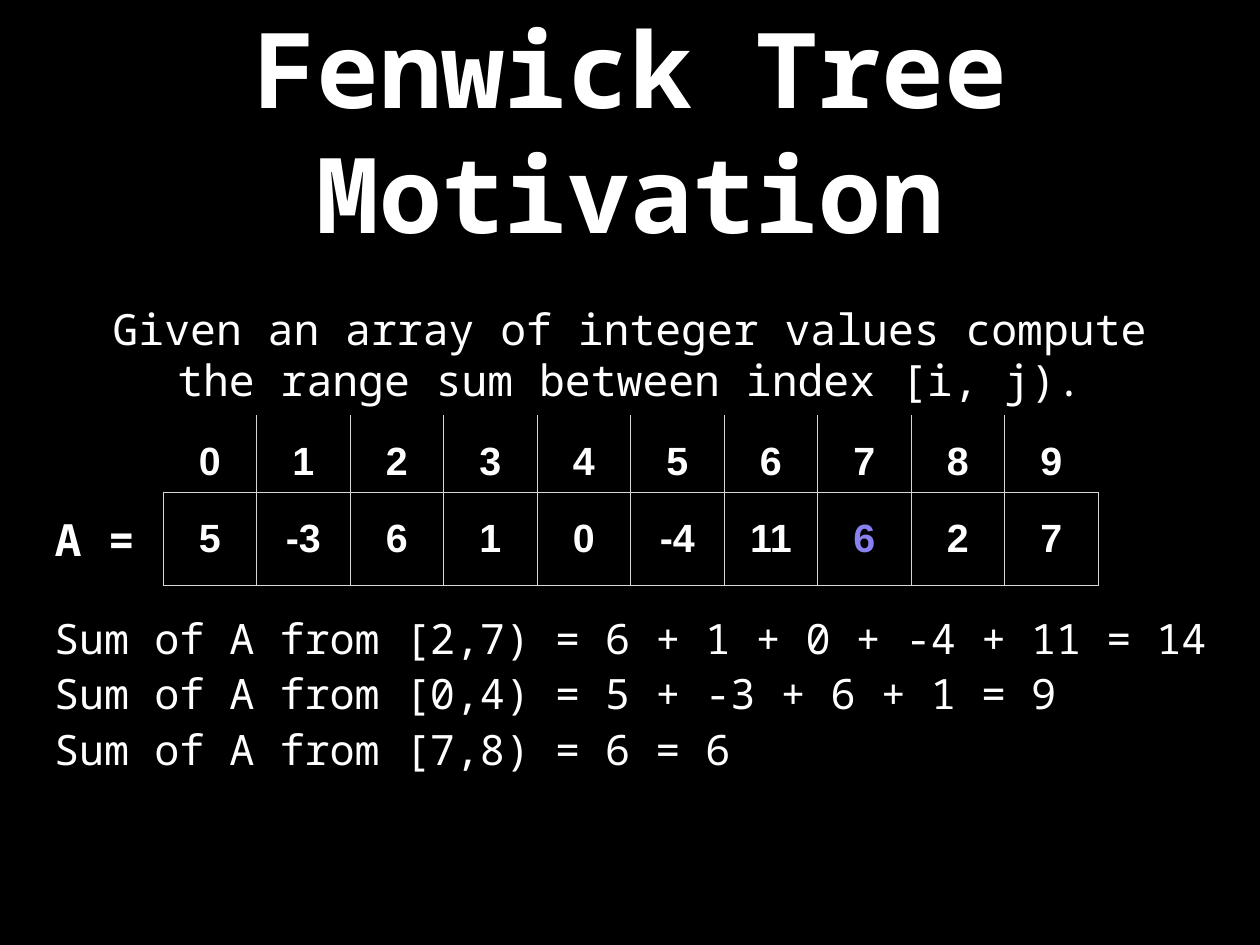
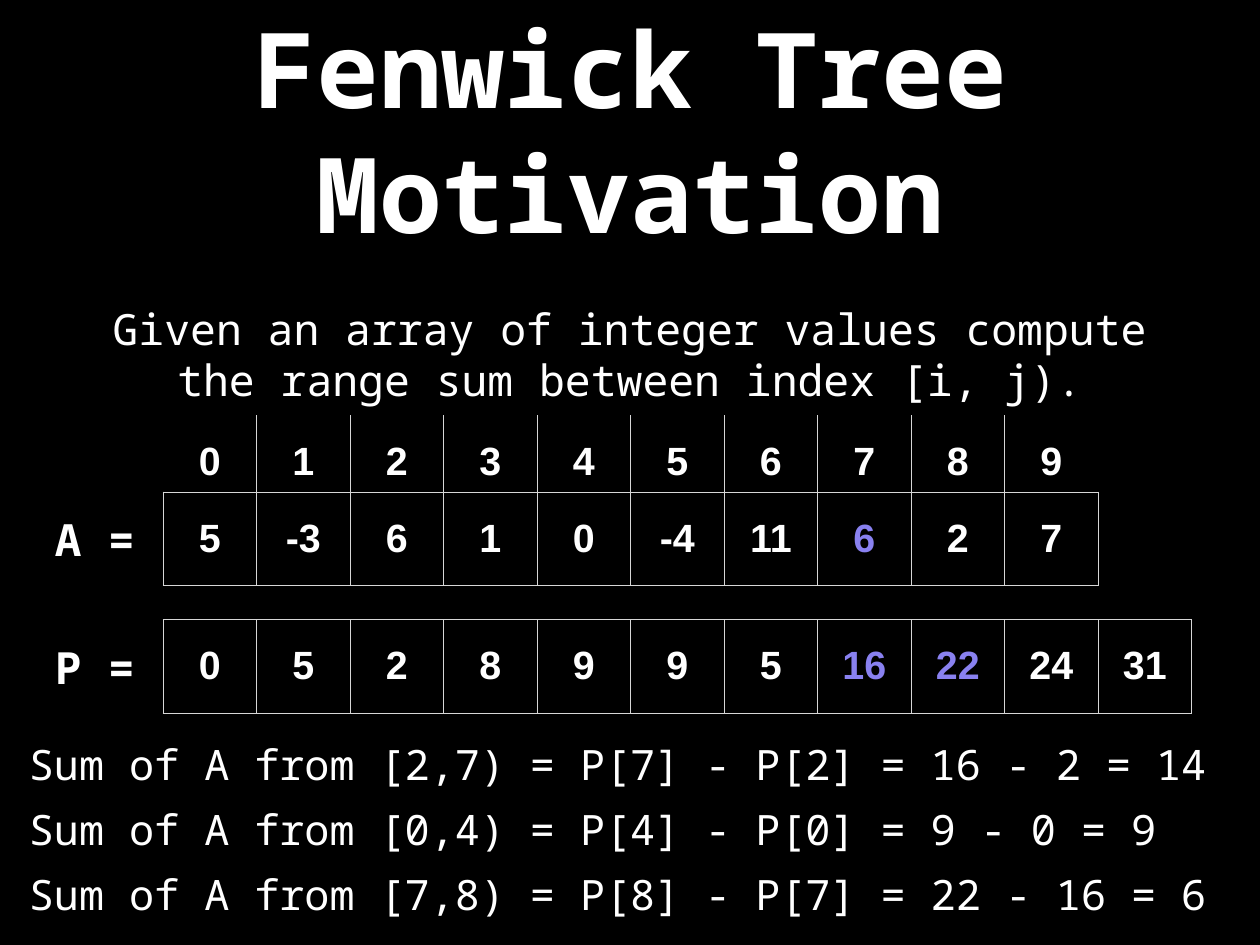
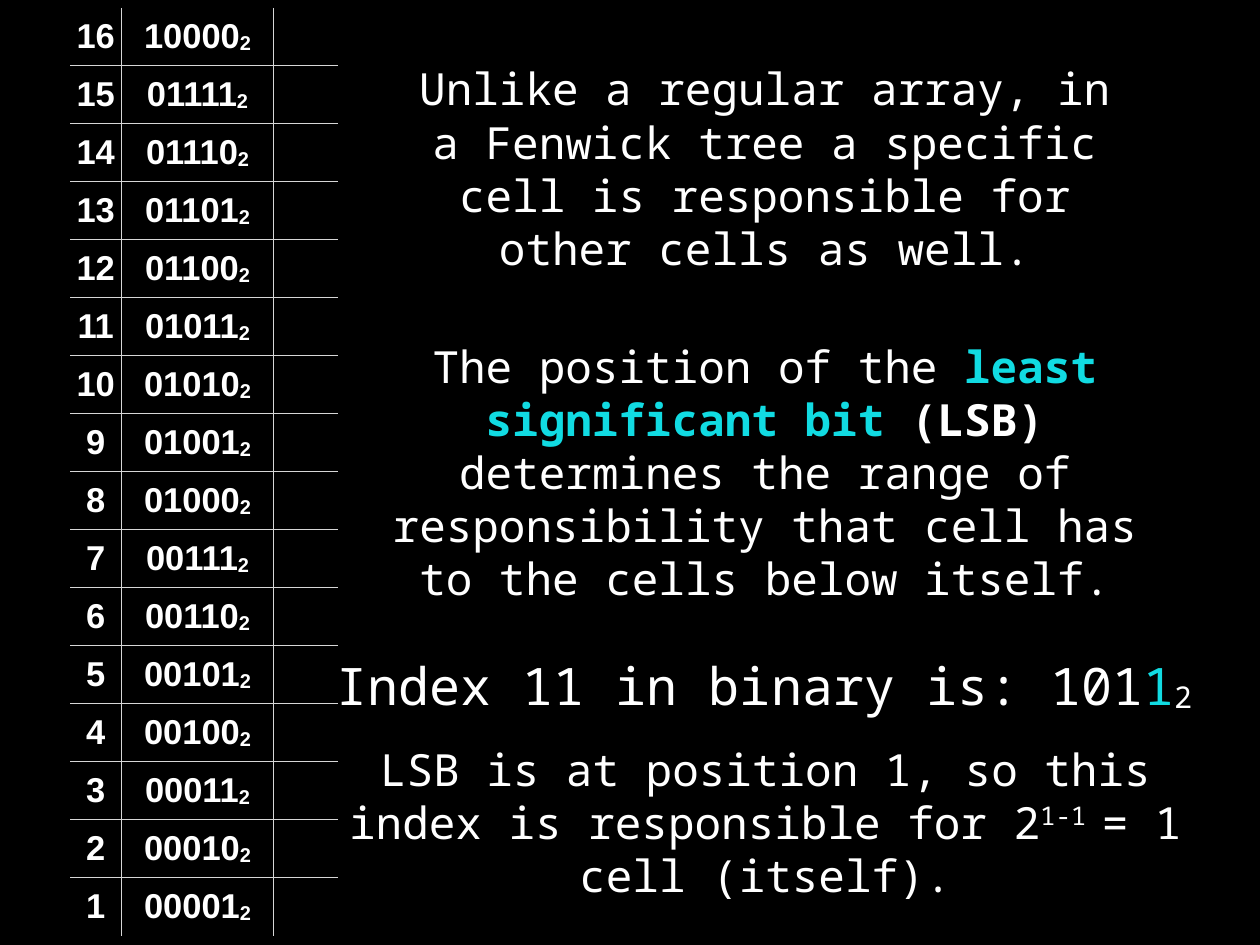
from itertools import accumulate

from lxml.etree import SubElement
from pptx import Presentation
from pptx.dml.color import RGBColor
from pptx.enum.text import MSO_ANCHOR, MSO_AUTO_SIZE, PP_ALIGN
from pptx.oxml.ns import qn
from pptx.util import Pt

COLORS = {"background": "000000", "text": "FFFFFF", "border": "D6D6D6",
          "violet": "8981F0", "cyan": "11DBE2"}
MONO, SANS = "Noto Sans Mono", "Arial"
INSET = 4
CELL = 76
ARRAY_LEFT = 132.5
SUBSCRIPT = {"baseline": -6000}


def write(container, paragraph, pieces, size, font=MONO, bold=False, align=PP_ALIGN.CENTER):
    """Fill a text frame or cell; a piece is a string or (string, run format)."""
    container.margin_left = container.margin_right = Pt(INSET)
    container.margin_top = container.margin_bottom = Pt(INSET)
    container.vertical_anchor = MSO_ANCHOR.MIDDLE
    paragraph.alignment = align
    paragraph.font.name = font
    paragraph.font.size = Pt(size)
    paragraph.font.bold = bold
    paragraph.font.color.rgb = RGBColor.from_string(COLORS["text"])
    for piece in pieces:
        text, style = (piece, {}) if isinstance(piece, str) else piece
        run = paragraph.add_run()
        run.text = text
        if "color" in style:
            run.font.color.rgb = RGBColor.from_string(COLORS[style["color"]])
        if "bold" in style:
            run.font.bold = style["bold"]
        if "baseline" in style:
            run.font._element.set("baseline", str(style["baseline"]))


def add_grid(slide, left, top, widths, row_height, rows, size, framed):
    """Add a table with inner lines, and outer lines when framed."""
    last_row, last_column = len(rows) - 1, len(widths) - 1
    table = slide.shapes.add_table(len(rows), len(widths), Pt(left), Pt(top),
                                   Pt(sum(widths)), Pt(row_height * len(rows))).table
    table.first_row = table.horz_banding = False
    for column, width in zip(table.columns, widths):
        column.width = Pt(width)
    for r, row in enumerate(rows):
        table.rows[r].height = Pt(row_height)
        for c, pieces in enumerate(row):
            cell = table.cell(r, c)
            write(cell, cell.text_frame.paragraphs[0], pieces, size, SANS, True)
            properties = cell._tc.get_or_add_tcPr()
            inner_sides = {"lnL": c > 0, "lnR": c < last_column,
                           "lnT": r > 0, "lnB": r < last_row}
            for side, inner in inner_sides.items():
                line = SubElement(properties, qn(f"a:{side}"), w=str(Pt(1)))
                if inner or framed:
                    fill = SubElement(line, qn("a:solidFill"))
                    SubElement(fill, qn("a:srgbClr"), val=COLORS["border"])
                else:
                    SubElement(line, qn("a:noFill"))
            cell.fill.background()


presentation = Presentation()
presentation.slide_width, presentation.slide_height = Pt(1024), Pt(768)
background = presentation.slide_master.background.fill
background.solid()
background.fore_color.rgb = RGBColor.from_string(COLORS["background"])
title_only, blank = presentation.slide_layouts[5], presentation.slide_layouts[6]

# Array values and their prefix sums
values = [5, -3, 6, 1, 0, -4, 11, 6, 2, 7]
prefix_sums = list(accumulate(values, initial=0))
index_row = [[str(index)] for index in range(len(values))]
value_row, prefix_row = [
    [[(str(number), {"color": "violet"}) if index in marked else str(number)]
     for index, number in enumerate(numbers)]
    for numbers, marked in ((values, {7}), (prefix_sums, {7, 8}))]

# Motivation slides: left, top and pitch of the sums, then their wording
motivations = [
    (40, 494, 45.2, False, ["[2,7) = 6 + 1 + 0 + -4 + 11 = 14",
                            "[0,4) = 5 + -3 + 6 + 1 = 9",
                            "[7,8) = 6 = 6"]),
    (19.5, 597, 52.8, True, ["[2,7) = P[7] - P[2] = 16 - 2 = 14",
                             "[0,4) = P[4] - P[0] = 9 - 0 = 9",
                             "[7,8) = P[8] - P[7] = 22 - 16 = 6"]),
]
text_boxes = []  # slide, (left, top, width, height), pieces, size, bold, wrap, alignment
for sum_left, sum_top, pitch, with_prefix, sums in motivations:
    slide = presentation.slides.add_slide(title_only)
    title = slide.shapes.title
    title.left, title.top, title.width, title.height = Pt(-35), Pt(-1.5), Pt(1094), Pt(213)
    title.text_frame.auto_size = MSO_AUTO_SIZE.NONE
    write(title.text_frame, title.text_frame.paragraphs[0],
          ["Fenwick Tree Motivation"], 85, bold=True)

    text_boxes.append((slide, (75, 202.5, 874, 170),
                       ["Given an array of integer values compute "
                        "the range sum between index [i, j)."],
                       35, False, True, PP_ALIGN.CENTER))

    # Arrays with their names
    arrays = [("A =", 400, value_row)]
    if with_prefix:
        arrays.append(("P =", 503.5, prefix_row))
    for name, top, row in arrays:
        add_grid(slide, ARRAY_LEFT, top, [CELL] * len(row), CELL, [row], 32, True)
        text_boxes.append((slide, (40, top + 13.5, 74, 49), [name],
                           36, True, False, PP_ALIGN.CENTER))
    add_grid(slide, ARRAY_LEFT, 337.5, [CELL] * len(values), CELL, [index_row], 32, False)

    for position, wording in enumerate(sums):
        text_boxes.append((slide, (sum_left, sum_top + position * pitch, 985, 48),
                           [f"Sum of A from {wording}"], 34, False, True, PP_ALIGN.LEFT))

# Responsibility slide: indexes in binary, then the explanation
slide = presentation.slides.add_slide(blank)
binary_rows = [[[str(index)], [f"{index:05b}", ("2", SUBSCRIPT)], []]
               for index in range(16, 0, -1)]
add_grid(slide, 57, 6.5, [41.5, 124, 52.5], 47.14, binary_rows, 28, False)

explanation = [
    ((331, 50.5, 581, 172), 36, True,
     ["Unlike a regular array, in a Fenwick tree a specific cell "
      "is responsible for other cells as well."]),
    ((309, 277, 625, 213), 36, True,
     ["The position of the ",
      ("least significant bit ", {"color": "cyan", "bold": True}),
      ("(LSB)", {"bold": True}),
      " determines the range of responsibility that cell has to the cells below itself."]),
    ((267, 528, 708.5, 57), 42, False,
     ["Index 11 in binary is: 101", ("1", {"color": "cyan"}), ("2", SUBSCRIPT)]),
    ((252.5, 602.5, 739, 131), 36, True,
     ["LSB is at position 1, so this index is responsible for 2",
      ("1-1 ", {"baseline": 32000}), "= 1 cell (itself)."]),
]
for box, size, wrap, pieces in explanation:
    text_boxes.append((slide, box, pieces, size, False, wrap, PP_ALIGN.CENTER))

# Text boxes of all slides
for slide, box, pieces, size, bold, wrap, align in text_boxes:
    frame = slide.shapes.add_textbox(*map(Pt, box)).text_frame
    frame.word_wrap = wrap
    write(frame, frame.paragraphs[0], pieces, size, bold=bold, align=align)

presentation.save("out.pptx")
